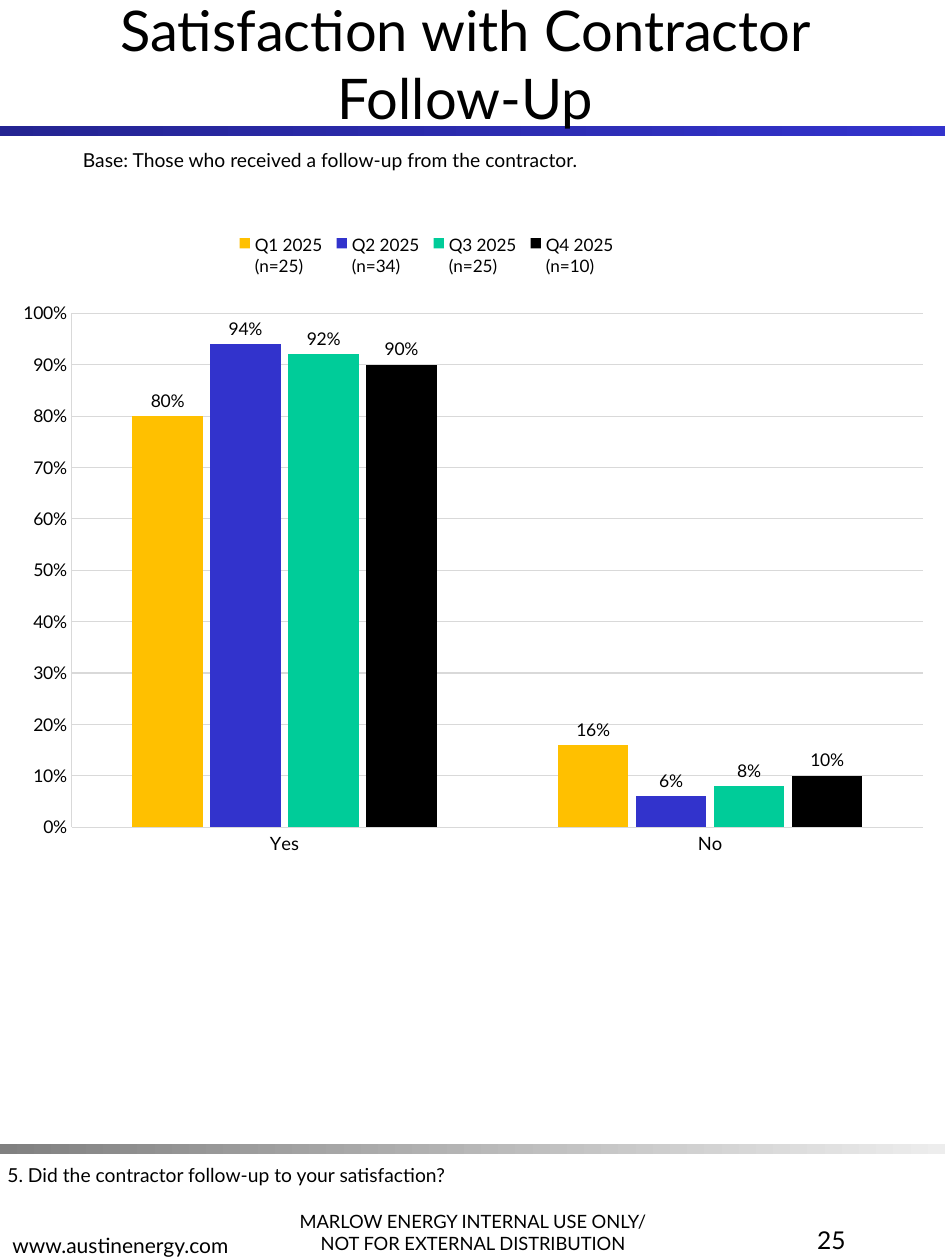
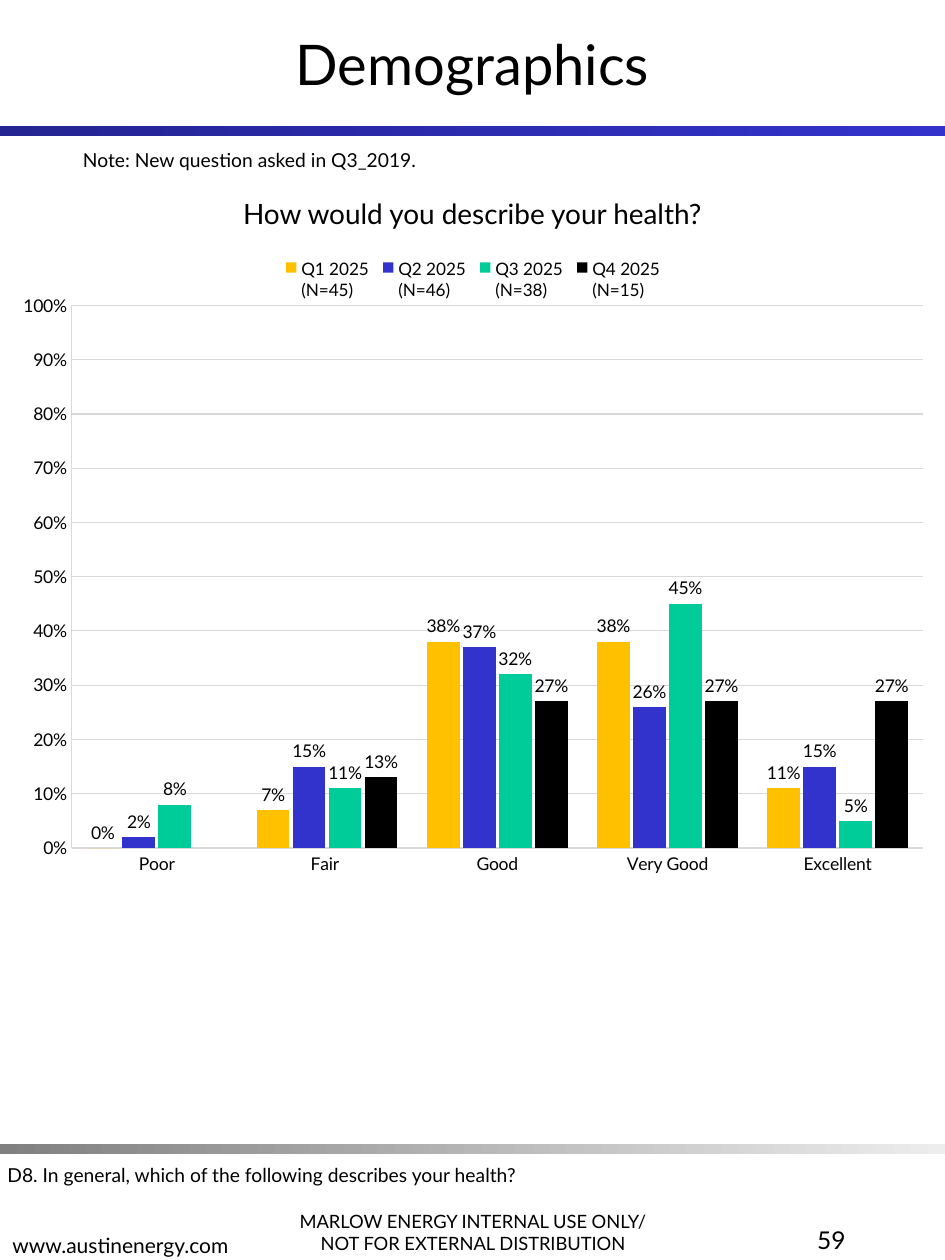
from lxml.etree import SubElement
from pptx import Presentation
from pptx.chart.data import CategoryChartData
from pptx.dml.color import RGBColor
from pptx.enum.chart import XL_CHART_TYPE, XL_LABEL_POSITION, XL_LEGEND_POSITION, XL_TICK_MARK
from pptx.enum.shapes import MSO_SHAPE
from pptx.enum.text import MSO_ANCHOR, PP_ALIGN
from pptx.oxml.ns import qn
from pptx.util import Pt

FONT = "Lato"
BLACK = RGBColor(0x00, 0x00, 0x00)
GRID = RGBColor(0xD9, 0xD9, 0xD9)
NAVY = RGBColor(0x24, 0x24, 0x92)
BLUE = RGBColor(0x33, 0x33, 0xCC)
GRAY = RGBColor(0x80, 0x80, 0x80)
PALE = RGBColor(0xED, 0xED, 0xED)
GOLD = RGBColor(0xFF, 0xC0, 0x00)
INDIGO = RGBColor(0x32, 0x33, 0xCC)
GREEN = RGBColor(0x00, 0xCC, 0x99)
QUARTER_COLORS = [GOLD, INDIGO, GREEN, BLACK]

WIDTH, HEIGHT = 540, 720
BANDS = [(72, NAVY, BLUE), (653.76, GRAY, PALE)]
NOTICE = "MARLOW ENERGY INTERNAL USE ONLY/\nNOT FOR EXTERNAL DISTRIBUTION"
SITE = "www.austinenergy.com"

PAGES = [
    {
        "title": "Satisfaction with Contractor \vFollow-Up ",
        "number": "25",
        "note": "Base: Those who received a follow-up from the contractor.",
        "question": "5. Did the contractor follow-up to your satisfaction?",
        "cats": ["Yes", "No"],
        "series": [
            ("Q1 2025\n(n=25)", [0.8, 0.16]),
            ("Q2 2025\n(n=34)", [0.94, 0.06]),
            ("Q3 2025\n(n=25)", [0.92, 0.08]),
            ("Q4 2025\n(n=10)", [0.9, 0.1]),
        ],
        "box": (4.32, 123.84, 532.08, 370.8),
        "plot": (0.069, 0.149, 0.914, 0.792),
        "legend": (0.24, 0.02, 0.42, 0.08),
        "gap": 170,
        "cat_size": 10.5,
    },
    {
        "title": "Demographics",
        "number": "59",
        "note": "Note: New question asked in Q3_2019.",
        "question": "D8. In general, which of the following describes your health?",
        "heading": "How would you describe your health?",
        "cats": ["Poor", "Fair ", "Good", "Very Good", "Excellent"],
        "series": [
            ("Q1 2025\n(N=45)", [0, 0.07, 0.38, 0.38, 0.11]),
            ("Q2 2025\n(N=46)", [0.02, 0.15, 0.37, 0.26, 0.15]),
            ("Q3 2025\n(N=38)", [0.08, 0.11, 0.32, 0.45, 0.05]),
            ("Q4 2025\n(N=15)", [None, 0.13, 0.27, 0.27, 0.27]),
        ],
        "box": (4.32, 119.52, 532.08, 385.2),
        "plot": (0.069, 0.143, 0.914, 0.805),
        "legend": (0.29, 0.065, 0.42, 0.08),
        "gap": 90,
        "cat_size": 10,
    },
]


def points(box):
    return [Pt(v) for v in box]


def add_text(s, text, box, size=11, align=PP_ALIGN.LEFT, anchor=MSO_ANCHOR.TOP):
    tf = s.shapes.add_textbox(*points(box)).text_frame
    tf.word_wrap = True
    tf.vertical_anchor = anchor
    tf.text = text
    for p in tf.paragraphs:
        p.alignment = align
        for r in p.runs:
            r.font.name = FONT
            r.font.size = Pt(size)
            r.font.color.rgb = BLACK


def add_band(s, top, start, end):
    sp = s.shapes.add_shape(MSO_SHAPE.RECTANGLE, *points((0, top, WIDTH, 5.76)))
    sp.shadow.inherit = False
    sp.line.fill.background()
    sp.fill.gradient()
    sp.fill.gradient_angle = 0
    for stop, color in zip(sp.fill.gradient_stops, (start, end)):
        stop.color.rgb = color


def set_title_style(prs):
    rpr = prs.slide_master.element.find(
        "/".join([".//" + qn("p:titleStyle"), qn("a:lvl1pPr"), qn("a:defRPr")]))
    rpr.set("sz", "3200")
    rpr.find(qn("a:latin")).set("typeface", FONT)


def set_title(s, text):
    sp = s.shapes.title
    sp.left, sp.top, sp.width, sp.height = points((0, 0, WIDTH, 72))
    sp.text_frame.text = text
    sp.text_frame.vertical_anchor = MSO_ANCHOR.MIDDLE
    sp.text_frame.paragraphs[0].alignment = PP_ALIGN.CENTER
    s.shapes.element.append(sp.element)


def set_layout(parent, index, fractions, inner=False):
    for old in parent.findall(qn("c:layout")):
        parent.remove(old)
    layout = SubElement(parent, qn("c:layout"))
    parent.insert(index, layout)
    manual = SubElement(layout, qn("c:manualLayout"))
    values = [("layoutTarget", "inner")] if inner else []
    values += [("xMode", "edge"), ("yMode", "edge"), *zip("xywh", fractions)]
    for name, value in values:
        SubElement(manual, qn("c:" + name)).set("val", str(value))


def style_axis(axis, size, width):
    axis.major_tick_mark = axis.minor_tick_mark = XL_TICK_MARK.NONE
    axis.format.line.color.rgb = GRID
    axis.format.line.width = Pt(width)
    set_font(axis.tick_labels.font, size)


def set_font(font, size):
    font.name = FONT
    font.size = Pt(size)
    font.color.rgb = BLACK


def add_chart(s, page):
    data = CategoryChartData(number_format="0%")
    data.categories = page["cats"]
    for name, values in page["series"]:
        data.add_series(name, values)
    chart = s.shapes.add_chart(
        XL_CHART_TYPE.COLUMN_CLUSTERED, *points(page["box"]), data).chart
    chart.has_title = False
    set_font(chart.font, 10)

    chart.has_legend = True
    chart.legend.position = XL_LEGEND_POSITION.TOP
    chart.legend.include_in_layout = False
    set_font(chart.legend.font, 9.8)
    set_layout(chart.legend._element, 1, page["legend"])
    plot_area = chart.element.find(".//" + qn("c:plotArea"))
    set_layout(plot_area, 0, page["plot"], inner=True)

    style_axis(chart.category_axis, page["cat_size"], 0.62)
    axis = chart.value_axis
    style_axis(axis, 10, 0.41)
    axis.minimum_scale, axis.maximum_scale, axis.major_unit = 0, 1, 0.1
    axis.tick_labels.number_format = "0%"
    axis.tick_labels.number_format_is_linked = False
    axis.has_major_gridlines = True
    axis.major_gridlines.format.line.color.rgb = GRID
    axis.major_gridlines.format.line.width = Pt(0.62)

    plot = chart.plots[0]
    plot.vary_by_categories = False
    plot.gap_width = page["gap"]
    plot.overlap = -10
    for series, color in zip(plot.series, QUARTER_COLORS):
        series.invert_if_negative = False
        series.format.fill.solid()
        series.format.fill.fore_color.rgb = color
        labels = series.data_labels
        labels.show_value = True
        labels.position = XL_LABEL_POSITION.OUTSIDE_END
        labels.number_format = "0%"
        labels.number_format_is_linked = False
        set_font(labels.font, 10)


def add_page(prs, page):
    s = prs.slides.add_slide(prs.slide_layouts[5])
    for band in BANDS:
        add_band(s, *band)
    add_text(s, NOTICE, (155.52, 671.76, 229.68, 48.24), size=10.5,
             align=PP_ALIGN.CENTER, anchor=MSO_ANCHOR.BOTTOM)
    add_text(s, SITE, (0, 673.92, 229.68, 48.24), size=12, anchor=MSO_ANCHOR.BOTTOM)
    set_title(s, page["title"])
    add_text(s, page["number"], (378, 696.24, 112.32, 48.24), size=14, align=PP_ALIGN.RIGHT)
    add_text(s, page["question"], (-2.88, 660.96, 493.2, 20.88))
    add_chart(s, page)
    add_text(s, page["note"], (40.32, 81.36, 463.68, 20.88))
    if "heading" in page:
        add_text(s, page["heading"], (121.68, 108.72, 296.64, 26.64), size=16,
                 align=PP_ALIGN.CENTER)


def main():
    prs = Presentation()
    prs.slide_width, prs.slide_height = Pt(WIDTH), Pt(HEIGHT)
    set_title_style(prs)
    for page in PAGES:
        add_page(prs, page)
    prs.save("out.pptx")


if __name__ == "__main__":
    main()
